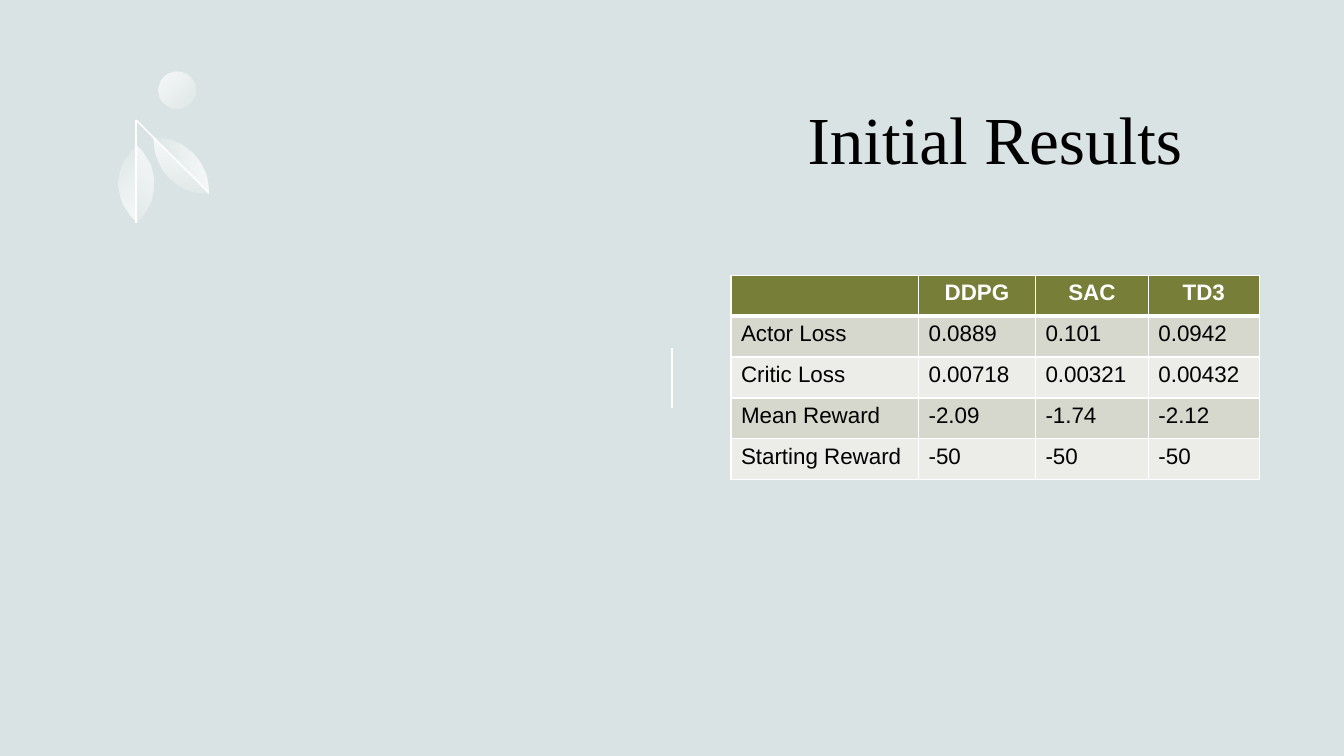
from dataclasses import dataclass

from pptx import Presentation
from pptx.dml.color import RGBColor
from pptx.enum.shapes import MSO_CONNECTOR as CONN, MSO_SHAPE as SHAPE
from pptx.enum.text import MSO_ANCHOR as ANCHOR, PP_ALIGN as ALIGN
from pptx.oxml.ns import qn
from pptx.util import Inches, Pt
from lxml import etree

SLIDE_W, SLIDE_H = 13.33, 7.5
WHITE, BLACK = "FFFFFF", "000000"
HEADER_FILL = "767E37"
BAND_FILLS = ("D6D8CE", "ECECE8")
LEAF_W, LEAF_H = 0.17, 0.78


@dataclass
class HalfLeaf:
    left: float
    top: float
    rotation: int
    bulge_left: bool
    end_alpha: int
    angle: int


@dataclass
class Line:
    x1: float
    y1: float
    x2: float
    y2: float


HALF_LEAVES = [
    HalfLeaf(1.35, 1.43, 180, True, 20, 315),
    HalfLeaf(1.18, 1.43, 180, False, 10, 45),
    HalfLeaf(1.65, 1.31, 135, False, 20, 315),
    HalfLeaf(1.77, 1.19, 135, True, 10, 45),
]
LINES = [
    Line(1.35, 1.19, 1.35, 2.21),
    Line(1.35, 1.19, 2.07, 1.91),
    Line(SLIDE_W / 2, 3.45, SLIDE_W / 2, 4.05),
]
# Edge of an upright half leaf that bulges left: start, then two Bezier curves
EDGE_START = (LEAF_W, 0)
EDGE_CURVES = [
    ((0.07, 0.1), (0, 0.24), (0, 0.39)),
    ((0, 0.54), (0.07, 0.68), (LEAF_W, LEAF_H)),
]
COLUMNS = (1.86, 1.16, 1.12, 1.1)
TABLE_H = 2.03
RESULTS = [
    ("", "DDPG", "SAC", "TD3"),
    ("Actor Loss", "0.0889", "0.101", "0.0942"),
    ("Critic Loss", "0.00718", "0.00321", "0.00432"),
    ("Mean Reward", "-2.09", "-1.74", "-2.12"),
    ("Starting Reward", "-50", "-50", "-50"),
]


def rgb(color: str) -> RGBColor:
    return RGBColor.from_string(color)


def style_gradient(sp, end_alpha: int, angle: int) -> None:
    """White gradient fading from 80 % opacity, with a clockwise angle."""
    sp.shadow.inherit = False
    sp.line.fill.background()
    sp.fill.gradient()
    sp.fill.gradient_angle = 360 - angle
    for stop in sp.fill.gradient_stops:
        stop.color.rgb = rgb(WHITE)
    for clr, alpha in zip(sp._element.spPr.iter(qn("a:srgbClr")), (80, end_alpha)):
        etree.SubElement(clr, qn("a:alpha"), val=str(alpha * 1000))


def add_half_leaf(s, leaf: HalfLeaf) -> None:
    def local(point: tuple[float, float]) -> tuple[int, int]:
        x, y = point
        return Inches(x if leaf.bulge_left else LEAF_W - x), Inches(y)

    builder = s.shapes.build_freeform(*local(EDGE_START))
    builder.add_line_segments([local(curve[-1]) for curve in EDGE_CURVES], close=True)
    sp = builder.convert_to_shape(Inches(leaf.left), Inches(leaf.top))

    # Turn the two edge segments into curves
    segments = list(sp._element.spPr.iter(qn("a:lnTo")))
    for segment, curve in zip(segments, EDGE_CURVES):
        bezier = etree.Element(qn("a:cubicBezTo"))
        for x, y in map(local, curve):
            etree.SubElement(bezier, qn("a:pt"), x=str(int(x)), y=str(int(y)))
        segment.getparent().replace(segment, bezier)
    sp.rotation = leaf.rotation
    style_gradient(sp, leaf.end_alpha, leaf.angle)


def add_line(s, line: Line) -> None:
    cn = s.shapes.add_connector(CONN.STRAIGHT, Inches(line.x1), Inches(line.y1),
                                Inches(line.x2), Inches(line.y2))
    cn.line.color.rgb = rgb(WHITE)
    cn.line.width = Pt(1)
    etree.SubElement(cn._element.spPr, qn("a:effectLst"))


def style_run(p, size: int, font: str, color: str, bold: bool = False) -> None:
    for r in p.runs:
        r.font.size = Pt(size)
        r.font.name = font
        r.font.bold = bold
        r.font.color.rgb = rgb(color)


def set_borders(cell, top: int, bottom: int) -> None:
    tc_pr = cell._tc.get_or_add_tcPr()
    for side, width in (("L", 1), ("R", 1), ("T", top), ("B", bottom)):
        ln = etree.SubElement(tc_pr, qn(f"a:ln{side}"), w=str(int(Pt(width))))
        fill = etree.SubElement(ln, qn("a:solidFill"))
        etree.SubElement(fill, qn("a:srgbClr"), val=WHITE)


def add_results_table(s) -> None:
    table = s.shapes.add_table(len(RESULTS), len(COLUMNS), Inches(7.25), Inches(2.73),
                               Inches(sum(COLUMNS)), Inches(TABLE_H)).table
    for column, width in zip(table.columns, COLUMNS):
        column.width = Inches(width)
    for i, row in enumerate(RESULTS):
        header = i == 0
        for j, text in enumerate(row):
            cell = table.cell(i, j)
            set_borders(cell, top=3 if i == 1 else 1, bottom=3 if header else 1)
            cell.fill.solid()
            cell.fill.fore_color.rgb = rgb(HEADER_FILL if header else BAND_FILLS[(i - 1) % 2])
            p = cell.text_frame.paragraphs[0]
            p.text = text
            p.alignment = ALIGN.CENTER if header else ALIGN.LEFT
            style_run(p, 16, "Arial", WHITE if header else BLACK, bold=header)


def add_title(s) -> None:
    tf = s.shapes.add_textbox(Inches(6.91), Inches(0.14), Inches(5.92), Inches(2.46)).text_frame
    tf.word_wrap = True
    tf.vertical_anchor = ANCHOR.MIDDLE
    tf.text = "Initial Results"
    p = tf.paragraphs[0]
    p.alignment = ALIGN.CENTER
    style_run(p, 48, "Times New Roman", BLACK)


def main() -> None:
    prs = Presentation()
    prs.slide_width, prs.slide_height = Inches(SLIDE_W), Inches(SLIDE_H)
    s = prs.slides.add_slide(prs.slide_layouts[6])
    s.background.fill.solid()
    s.background.fill.fore_color.rgb = rgb("DAE3E3")

    # Leaf ornament and divider
    berry = s.shapes.add_shape(SHAPE.OVAL, Inches(1.57), Inches(0.71), Inches(0.37), Inches(0.37))
    style_gradient(berry, 10, 45)
    for leaf in HALF_LEAVES:
        add_half_leaf(s, leaf)
    for line in LINES:
        add_line(s, line)

    # Title and results
    add_title(s)
    add_results_table(s)
    prs.save("out.pptx")


if __name__ == "__main__":
    main()
